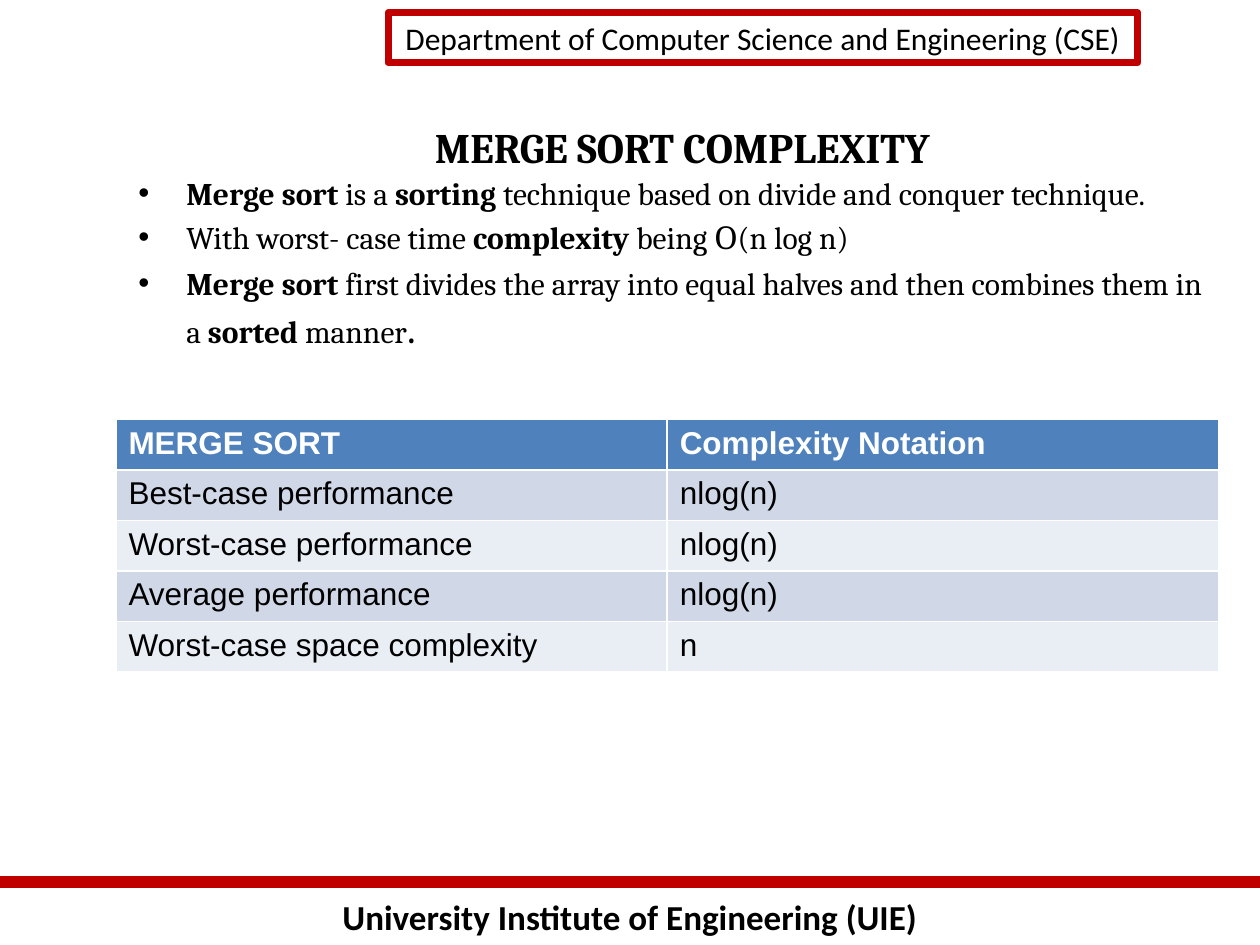
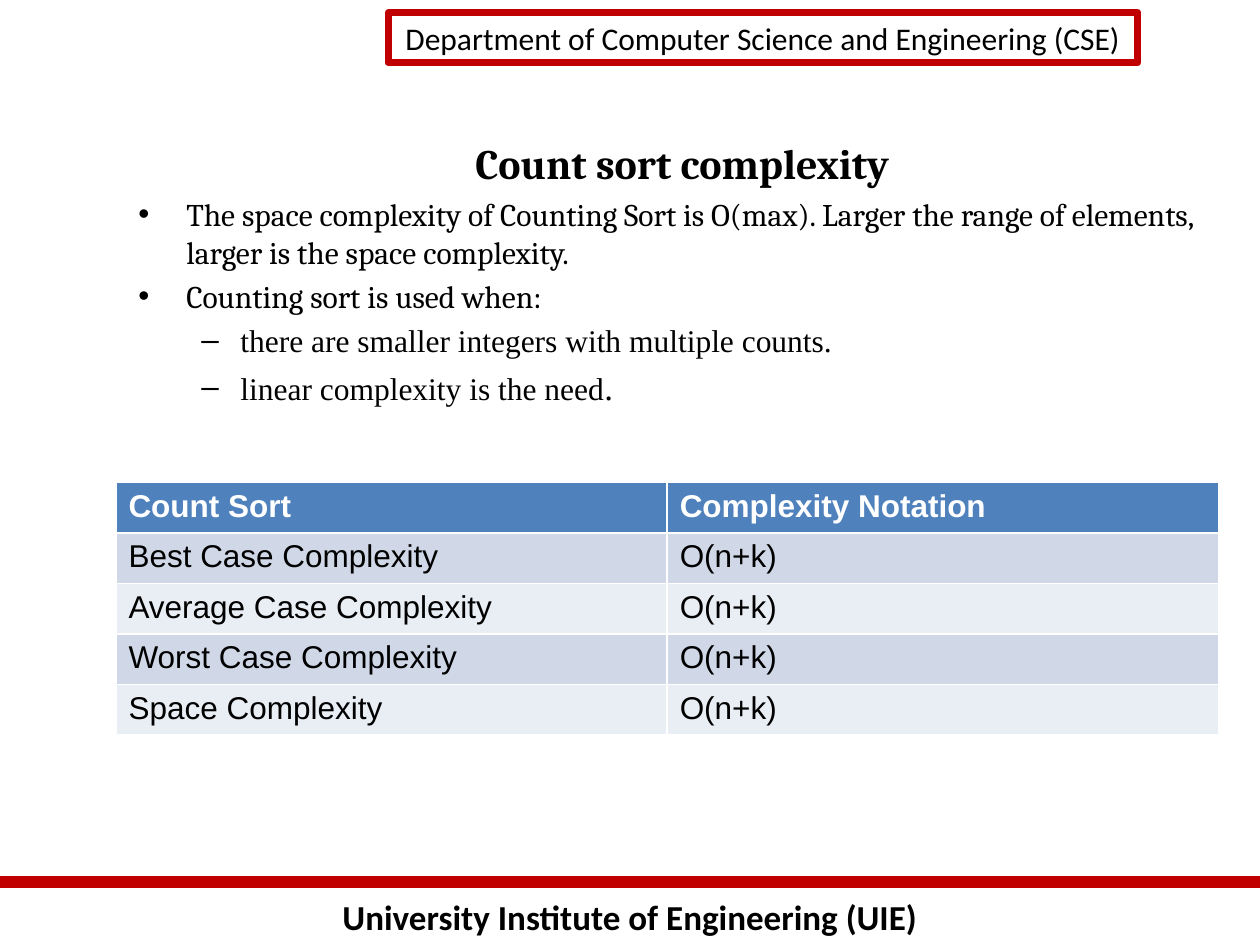
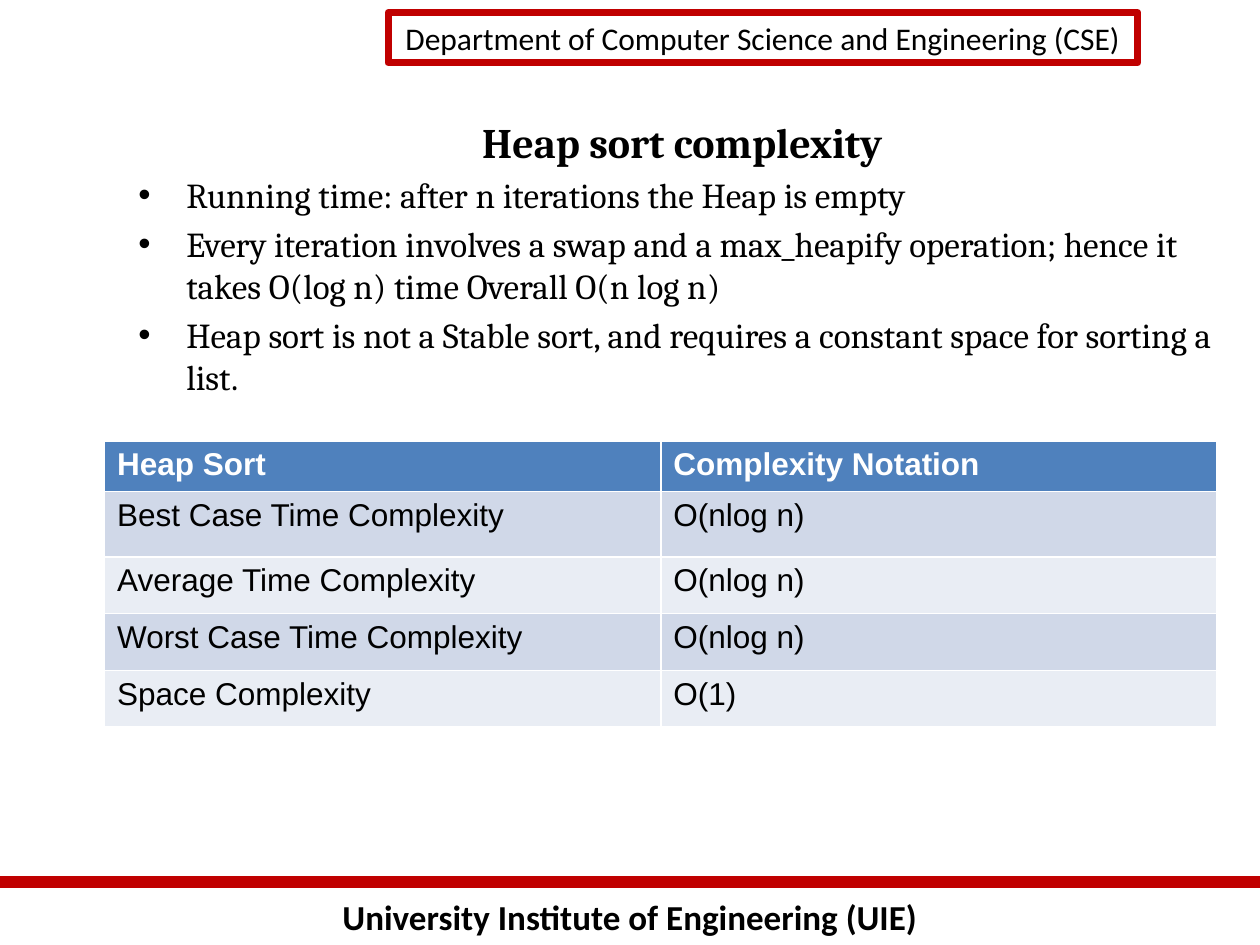
from pptx import Presentation
from pptx.dml.color import RGBColor
from pptx.enum.shapes import MSO_CONNECTOR, MSO_SHAPE
from pptx.enum.text import MSO_ANCHOR, PP_ALIGN
from pptx.oxml.ns import qn
from pptx.util import Inches, Pt
from lxml.etree import SubElement

WIDTH, HEIGHT = 10, 7.5
BLACK, WHITE, RED = "000000", "FFFFFF", "C00000"
HEADER_FILL, BANDS = "4F81BD", ("D0D8E8", "E9EDF4")
DEPARTMENT = "Department of Computer Science and Engineering (CSE)"
UNIVERSITY = "University Institute of Engineering (UIE)"
BULLETS = [("•", 0.38, 0.38), ("–", 0.81, 0.31)]
BODY_LEFT, BODY_WIDTH, BODY_BOTTOM = 1, 8.75, 6.83
TITLE_LEFT, TITLE_WIDTH = 1.08, 8.67
HEADER_ROW = 0.38

BOLD = {"bold": True}
SERIF = {"font": "Times New Roman"}

SLIDES = [
    {
        "title": "MERGE SORT COMPLEXITY", "title_top": 0.83, "title_height": 0.67,
        "body_top": 1.33, "body_size": 18,
        "bullets": [
            (0, [("Merge sort", BOLD), (" is a ", {}), ("sorting", BOLD),
                 (" technique based on divide and conquer technique.", {})]),
            (0, [("With worst- case time ", {}), ("complexity", BOLD),
                 (" being Ο(n log n)", {})]),
            (0, [("Merge sort", BOLD),
                 (" first divides the array into equal halves and then combines them in a ", {}),
                 ("sorted", BOLD), (" manner", {}), (".", {"size": 24})]),
        ],
        "table_box": (0.92, 3.33, 8.75), "body_rows": [0.38] * 4,
        "rows": [
            ("MERGE SORT", "Complexity Notation"),
            ("Best-case performance", "nlog(n)"),
            ("Worst-case performance", "nlog(n)"),
            ("Average performance", "nlog(n)"),
            ("Worst-case space complexity", "n"),
        ],
    },
    {
        "title": "Count sort complexity", "title_top": 1, "title_height": 0.58,
        "body_top": 1.5, "body_size": 18,
        "bullets": [
            (0, [("The space complexity of Counting Sort is O(max). Larger the range of "
                  "elements, larger is the space complexity.", {})]),
            (0, [("Counting sort is used when:", {})]),
            (1, [("there are smaller integers with multiple counts.", SERIF)]),
            (1, [("linear complexity is the need", SERIF), (".", {**SERIF, "size": 20})]),
        ],
        "table_box": (0.92, 3.83, 8.75), "body_rows": [0.38] * 4,
        "rows": [
            ("Count Sort", "Complexity Notation"),
            ("Best Case Complexity", "O(n+k)"),
            ("Average Case Complexity", "O(n+k)"),
            ("Worst Case Complexity", "O(n+k)"),
            ("Space Complexity", "O(n+k)"),
        ],
    },
    {
        "title": "Heap sort complexity", "title_top": 0.75, "title_height": 0.75,
        "body_top": 1.33, "body_size": 20,
        "bullets": [
            (0, [("Running time: after n iterations the Heap is empty", {})]),
            (0, [("Every iteration involves a swap and a max_heapify operation; hence it "
                  "takes O(log n) time Overall O(n log n)", {})]),
            (0, [("Heap sort is not a Stable sort, and requires a constant space for "
                  "sorting a list.", {})]),
        ],
        "table_box": (0.83, 3.5, 8.83), "body_rows": [0.52] + [0.45] * 3,
        "rows": [
            ("Heap Sort", "Complexity Notation"),
            ("Best Case Time Complexity", "O(nlog n)"),
            ("Average Time Complexity", "O(nlog n)"),
            ("Worst Case Time Complexity", "O(nlog n)"),
            ("Space Complexity", "O(1)"),
        ],
    },
]


def color(value):
    return RGBColor.from_string(value)


def write(paragraph, text, font="Cambria", size=18, fill=BLACK, bold=False, align=None):
    run = paragraph.add_run()
    run.text = text
    run.font.name = font
    run.font.size = Pt(size)
    run.font.bold = bold
    run.font.color.rgb = color(fill)
    if align is not None:
        paragraph.alignment = align


def add_text_box(slide, left, top, width, height, anchor=MSO_ANCHOR.TOP):
    frame = slide.shapes.add_textbox(*map(Inches, (left, top, width, height))).text_frame
    frame.word_wrap = True
    frame.vertical_anchor = anchor
    return frame


def add_frame(slide):
    footer = add_text_box(slide, 0, 7.06, WIDTH, 0.44)
    write(footer.paragraphs[0], UNIVERSITY, font="Calibri", size=20, bold=True,
          align=PP_ALIGN.CENTER)

    rule = slide.shapes.add_connector(MSO_CONNECTOR.STRAIGHT, 0, Inches(7),
                                      Inches(WIDTH), Inches(7))
    rule.line.color.rgb = color(RED)
    rule.line.width = Pt(7)
    SubElement(rule._element.spPr, qn("a:effectLst"))

    badge = slide.shapes.add_shape(MSO_SHAPE.RECTANGLE, *map(Inches, (3.08, 0.1, 5.95, 0.4)))
    badge.shadow.inherit = False
    badge.fill.background()
    badge.line.color.rgb = color(RED)
    badge.line.width = Pt(4)
    badge.text_frame.word_wrap = False
    badge.text_frame.vertical_anchor = MSO_ANCHOR.TOP
    write(badge.text_frame.paragraphs[0], DEPARTMENT, font="Calibri", align=PP_ALIGN.CENTER)


def add_bullets(slide, top, size, bullets):
    frame = add_text_box(slide, BODY_LEFT, top, BODY_WIDTH, BODY_BOTTOM - top)
    for index, (level, runs) in enumerate(bullets):
        paragraph = frame.add_paragraph() if index else frame.paragraphs[0]
        paragraph.level = level
        largest = max(style.get("size", size) for _, style in runs)
        paragraph.space_before = Pt(0.2 * largest)
        mark, margin, hanging = BULLETS[level]
        properties = paragraph._p.get_or_add_pPr()
        properties.set("marL", str(Inches(margin)))
        properties.set("indent", str(-Inches(hanging)))
        SubElement(properties, qn("a:buFont"), typeface="Arial")
        SubElement(properties, qn("a:buChar"), char=mark)
        for text, style in runs:
            write(paragraph, text, **{"size": size, **style})


def add_complexity_table(slide, box, body_rows, rows):
    left, top, width = box
    heights = [HEADER_ROW, *body_rows]
    columns = len(rows[0])
    table = slide.shapes.add_table(len(rows), columns,
                                   *map(Inches, (left, top, width, sum(heights)))).table
    for column in table.columns:
        column.width = Inches(width / columns)
    for index, (height, texts) in enumerate(zip(heights, rows)):
        table.rows[index].height = Inches(height)
        header = index == 0
        for position, text in enumerate(texts):
            cell = table.cell(index, position)
            cell.fill.solid()
            cell.fill.fore_color.rgb = color(HEADER_FILL if header else BANDS[(index - 1) % 2])
            write(cell.text_frame.paragraphs[0], text, font="Arial", bold=header,
                  fill=WHITE if header else BLACK)


def main():
    presentation = Presentation()
    presentation.slide_width, presentation.slide_height = Inches(WIDTH), Inches(HEIGHT)
    for content in SLIDES:
        slide = presentation.slides.add_slide(presentation.slide_layouts[6])
        add_frame(slide)
        title = add_text_box(slide, TITLE_LEFT, content["title_top"], TITLE_WIDTH,
                             content["title_height"], anchor=MSO_ANCHOR.MIDDLE)
        write(title.paragraphs[0], content["title"], size=24, bold=True, align=PP_ALIGN.CENTER)
        add_bullets(slide, content["body_top"], content["body_size"], content["bullets"])
        add_complexity_table(slide, content["table_box"], content["body_rows"], content["rows"])
    presentation.save("out.pptx")


if __name__ == "__main__":
    main()
